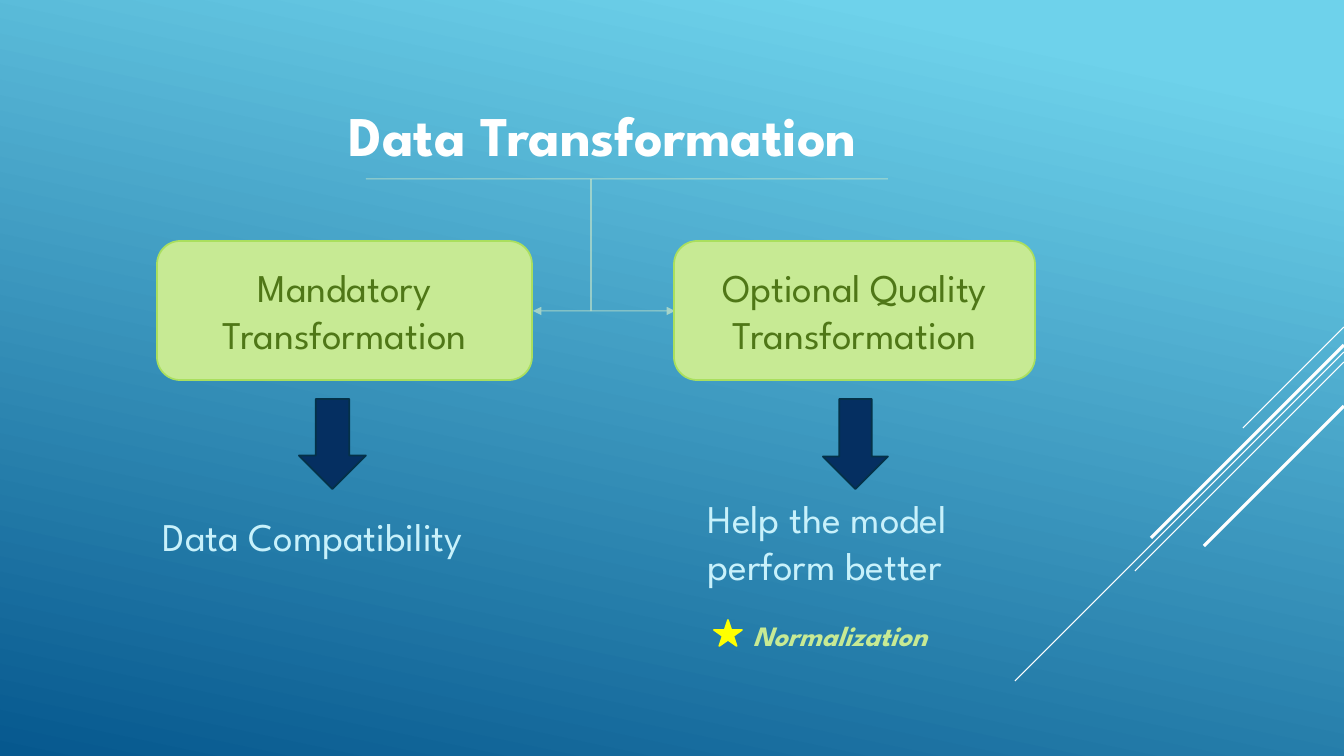
from pptx import Presentation
from pptx.dml.color import RGBColor
from pptx.enum.shapes import MSO_CONNECTOR, MSO_SHAPE
from pptx.enum.text import MSO_ANCHOR, MSO_AUTO_SIZE, PP_ALIGN
from pptx.oxml.ns import qn
from pptx.util import Emu, Pt
from lxml.etree import SubElement

PX = 12192000 / 1344
FONT = "League Spartan"
WHITE, LIME, PALE, ICE = "FFFFFF", "C7EA94", "E3F4C9", "C8F1FB"


def px(*nums):
    return [Emu(round(n * PX)) for n in nums]


def write(shape, text, size, color, bold=None, italic=None, align=None):
    par = shape.text_frame.paragraphs[0]
    par.alignment = align
    run = par.add_run()
    run.text = text
    font = run.font
    font.name, font.size, font.bold, font.italic = FONT, Pt(size), bold, italic
    font.color.rgb = RGBColor.from_string(color)


deck = Presentation()
deck.slide_width, deck.slide_height = px(1344, 756)
slide = deck.slides.add_slide(deck.slide_layouts[6])
shapes = slide.shapes

# Background
back = slide.background.fill
back.gradient()
back.gradient_angle = 258
for stop, (spot, color) in zip(back.gradient_stops, [(0.1, "6ED2EB"), (1, "06588E")]):
    stop.position = spot
    stop.color.rgb = RGBColor.from_string(color)

# Lines: kind, ends, colour, width, alpha, turn in degrees
STRAIGHT, ELBOW = MSO_CONNECTOR.STRAIGHT, MSO_CONNECTOR.ELBOW
rays = [(327, 1243, 428, 0.75), (352, 1015, 681, 0.75), (362, 1135, 571, 0.75),
        (345, 1151, 538, 2.25), (406, 1204, 546, 2.25)]
lines = [(STRAIGHT, (1344, top, left, low), WHITE, width, 100, 0)
         for top, left, low, width in rays]
lines += [(STRAIGHT, (366, 179, 888, 179), PALE, 0.75, 60, 0),
          (ELBOW, (496, 216, 628, 274), PALE, 0.75, 60, 90),
          (ELBOW, (699, 203, 567, 287), PALE, 0.75, 60, 270)]
for kind, ends, color, width, alpha, turn in lines:
    line = shapes.add_connector(kind, *px(*ends))
    line.line.width = Pt(width)
    line.line.color.rgb = RGBColor.from_string(color)
    props = line._element.spPr
    if alpha < 100:
        tint = props.find(".//" + qn("a:srgbClr"))
        SubElement(tint, qn("a:alpha"), val=str(alpha * 1000))
    if kind == ELBOW:
        props.find(qn("a:prstGeom")).set("prst", "bentConnector2")
        props.find(qn("a:xfrm")).set("rot", str(turn * 60000))
        SubElement(props.find(qn("a:ln")), qn("a:tailEnd"), type="triangle")
    SubElement(props, qn("a:effectLst"))

# Boxes, arrows and star
BOX, DOWN, STAR = MSO_SHAPE.ROUNDED_RECTANGLE, MSO_SHAPE.DOWN_ARROW, MSO_SHAPE.STAR_5_POINT
for kind, place, fill, edge, text in [
    (BOX, (157, 241, 375, 139), LIME, "AADF5E", "Mandatory Transformation"),
    (BOX, (674, 241, 361, 139), LIME, "AADF5E", "Optional Quality Transformation"),
    (DOWN, (299, 399, 67, 90), "052F61", "043148", ""),
    (DOWN, (823, 399, 65, 90), "052F61", "043148", ""),
    (STAR, (714, 620, 28, 26), "FFFF00", "FFFF00", ""),
]:
    shape = shapes.add_shape(kind, *px(*place))
    shape.shadow.inherit = False
    shape.fill.solid()
    shape.fill.fore_color.rgb = RGBColor.from_string(fill)
    shape.line.color.rgb = RGBColor.from_string(edge)
    shape.line.width = Pt(1.25)
    if text:
        shape.text_frame.word_wrap = True
        shape.text_frame.vertical_anchor = MSO_ANCHOR.MIDDLE
        write(shape, text, 28, "4F7717", align=PP_ALIGN.CENTER)

# Title and notes under the arrows
for place, wrap, text, size, color, style in [
    ((339, 96, 577, 78), False, "Data Transformation", 40, WHITE, {"bold": True}),
    ((153, 507, 385, 57), False, "Data Compatibility", 28, ICE, {}),
    ((698, 489, 337, 105), True, "Help the model perform better", 28, ICE, {}),
    ((743, 614, 208, 44), False, "Normalization", 20, LIME, {"bold": True, "italic": True}),
]:
    label = shapes.add_textbox(*px(*place))
    label.text_frame.word_wrap = wrap
    label.text_frame.auto_size = MSO_AUTO_SIZE.SHAPE_TO_FIT_TEXT
    write(label, text, size, color, **style)

deck.save("out.pptx")
